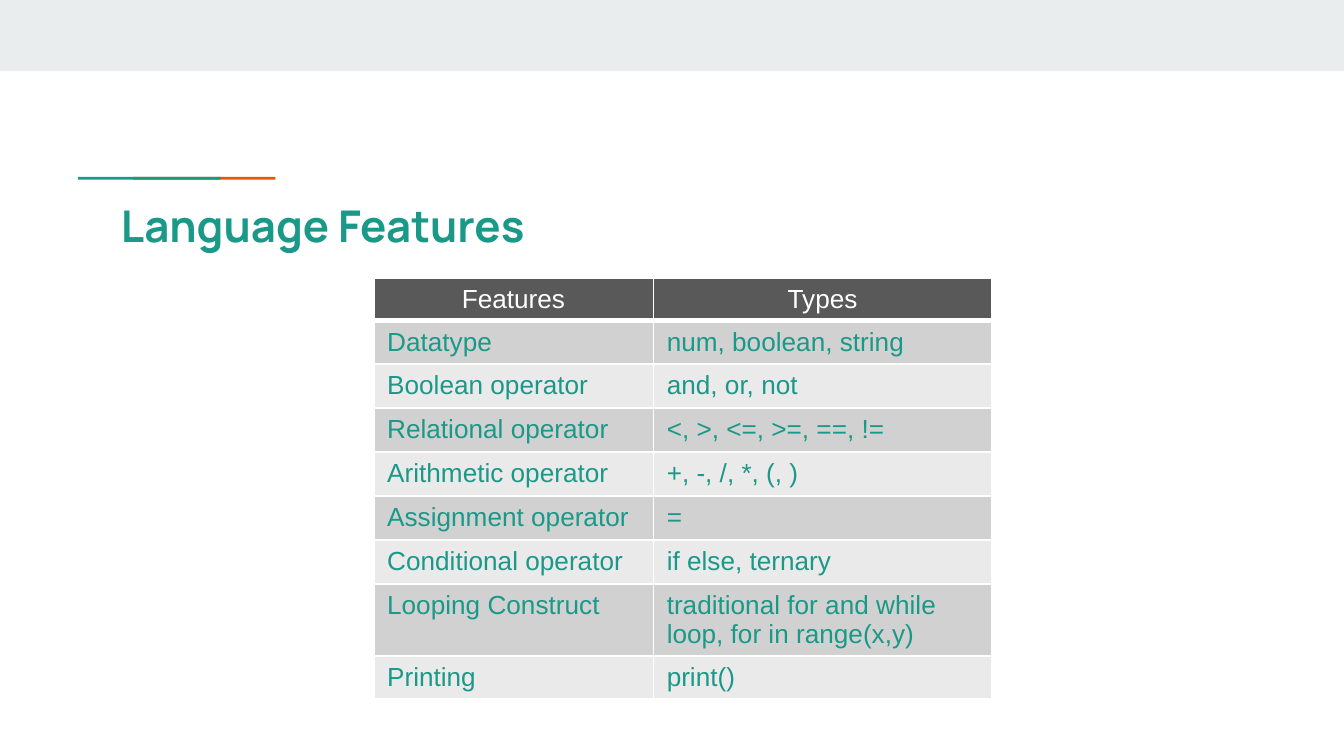
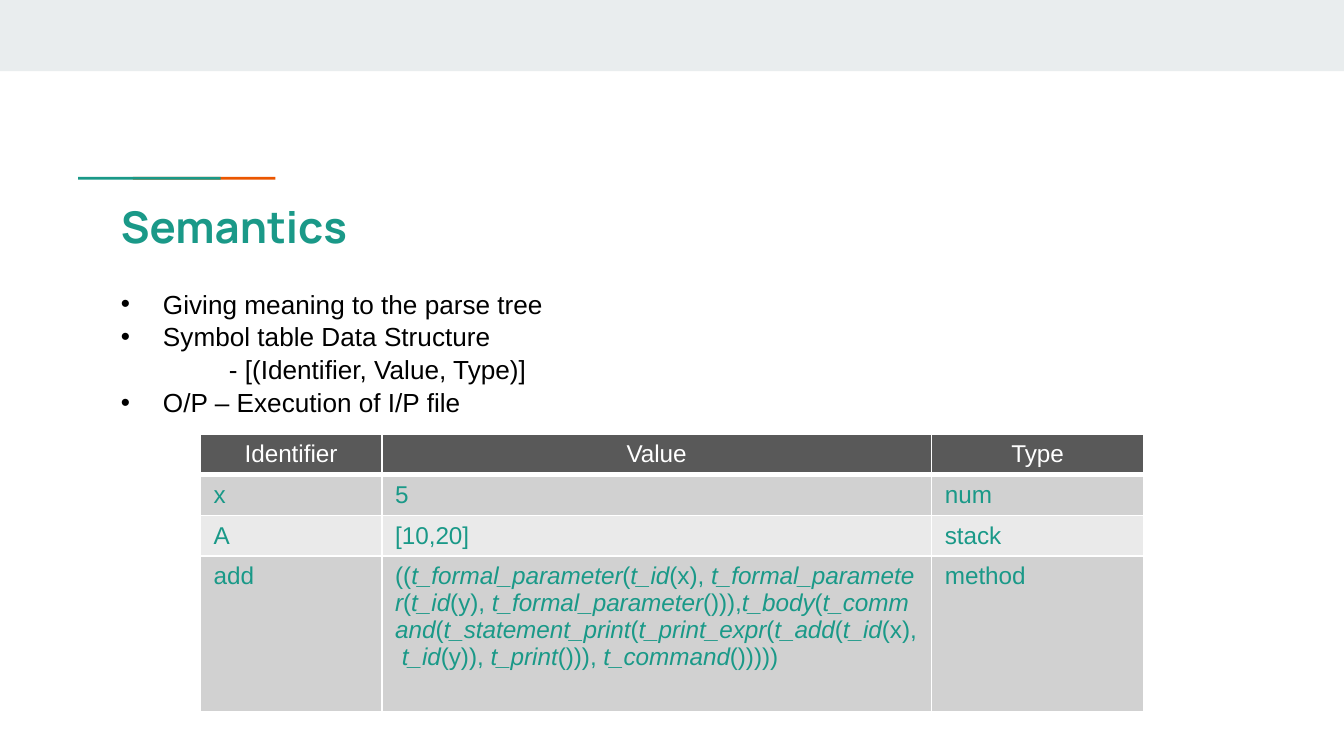
from dataclasses import dataclass

from lxml import etree
from pptx import Presentation
from pptx.dml.color import RGBColor
from pptx.enum.shapes import MSO_SHAPE
from pptx.enum.text import MSO_ANCHOR, MSO_AUTO_SIZE, PP_ALIGN
from pptx.oxml.ns import qn
from pptx.util import Pt

RECT = MSO_SHAPE.RECTANGLE
TOP, MIDDLE = MSO_ANCHOR.TOP, MSO_ANCHOR.MIDDLE
NO_AUTOFIT = MSO_AUTO_SIZE.NONE
LEFT, CENTER = PP_ALIGN.LEFT, PP_ALIGN.CENTER
TITLE_ONLY, TITLE_AND_BODY = 5, 1  # layout indexes
NBSP = chr(160)


@dataclass(frozen=True)
class Theme:
    teal: str = "1A9988"
    orange: str = "EB5600"
    band: str = "E9EDEE"
    white: str = "FFFFFF"
    black: str = "000000"
    header: str = "595959"
    rows: tuple = ("D1D1D1", "EAEAEA")
    title_font: str = "Manrope"
    text_font: str = "Arial"
    title_size: float = 23.4
    body_size: float = 14


THEME = Theme()

# Content; in table cells, | switches italics on and off
ADD_METHOD = (
    "((|t_formal_parameter|(|t_id|(x), |t_formal_parameter|(|t_id|(y), "
    "|t_formal_parameter|())),|t_body|(|t_command|(|t_statement_print|("
    "|t_print_expr|(|t_add|(|t_id|(x), |t_id|(y)), |t_print|())), "
    "|t_command|()))))"
).replace(" ", NBSP)

SLIDES = [
    {
        "title": "Language Features",
        "title_box": (57.6, 99.4, 302.4, 42.5),
        "table": {
            "at": (200.2, 149),
            "size": 14,
            "cols": [149.8, 181.4],
            "heights": [21.6] * 2 + [23.6] * 5 + [37.4, 21.6],
            "rows": [
                ("Features", "Types"),
                ("Datatype", "num, boolean, string"),
                ("Boolean operator", "and, or, not"),
                ("Relational operator", "<, >, <=, >=, ==, !="),
                ("Arithmetic operator", "+, -, /, *, (, )"),
                ("Assignment operator", "="),
                ("Conditional operator", "if else, ternary"),
                ("Looping Construct",
                 "traditional for and while loop, for in range(x,y)"),
                ("Printing", "print()"),
            ],
        },
    },
    {
        "title": "Semantics",
        "title_box": (57.6, 100.1, 605.5, 42.5),
        "body_box": (57.6, 149.8, 576.7, 74.9),
        "body": [  # (level, text)
            (0, "Giving meaning to the parse tree"),
            (0, "Symbol table Data Structure"),
            (1, "- [(Identifier, Value, Type)]"),
            (0, "O/P – Execution of I/P file"),
        ],
        "table": {
            "at": (107.3, 232.6),
            "size": 13,
            "cols": [97.2, 294.5, 113.8],
            "heights": [14.4] * 3 + [83.5],
            "rows": [
                ("Identifier", "Value", "Type"),
                ("x", "5", "num"),
                ("A", "[10,20]", "stack"),
                ("add", ADD_METHOD, "method"),
            ],
        },
    },
]

# Shared decoration: colour, left, top, width, height
DECOR = [
    (THEME.band, 0, 0, 720, 38.2),
    (THEME.orange, 71.2, 94.8, 76.4, 1.5),
    (THEME.teal, 41.8, 94.8, 76.4, 1.5),
]


def style_run(r, font, size, color, bold=False, italic=False):
    r.font.name, r.font.size = font, Pt(size)
    r.font.color.rgb = RGBColor.from_string(color)
    r.font.bold, r.font.italic = bold, italic


def place(sp, box):
    sp.left, sp.top, sp.width, sp.height = map(Pt, box)


def add_decor(slide):
    for color, *box in DECOR:
        sp = slide.shapes.add_shape(RECT, *map(Pt, box))
        sp.shadow.inherit = False
        sp.fill.solid()
        sp.fill.fore_color.rgb = RGBColor.from_string(color)
        sp.line.fill.background()


def set_title(slide, text, box):
    sp = slide.shapes.title
    place(sp, box)
    tf = sp.text_frame
    tf.text = text
    tf.word_wrap, tf.auto_size, tf.vertical_anchor = True, NO_AUTOFIT, MIDDLE
    tf.margin_left = tf.margin_right = tf.margin_top = tf.margin_bottom = Pt(7.2)
    p = tf.paragraphs[0]
    p.alignment = LEFT
    style_run(p.runs[0], THEME.title_font, THEME.title_size, THEME.teal, bold=True)


def set_bullet(p, level):
    pPr = p._p.get_or_add_pPr()
    margin, indent = [(22.5, -22.5), (57.8, 0)][level]
    pPr.set("marL", str(Pt(margin)))
    pPr.set("indent", str(Pt(indent)))
    if level:
        etree.SubElement(pPr, qn("a:buNone"))
        return
    color = etree.SubElement(pPr, qn("a:buClr"))
    etree.SubElement(color, qn("a:srgbClr"), val=THEME.black)
    etree.SubElement(pPr, qn("a:buFont"), typeface=THEME.text_font)
    etree.SubElement(pPr, qn("a:buChar"), char="•")


def set_body(slide, items, box):
    sp = slide.placeholders[1]
    place(sp, box)
    tf = sp.text_frame
    tf.text = "\n".join(text for _, text in items)
    tf.word_wrap, tf.auto_size, tf.vertical_anchor = True, NO_AUTOFIT, TOP
    for p, (level, _) in zip(tf.paragraphs, items):
        p.level, p.alignment = level, LEFT
        p.line_spacing, p.space_before, p.space_after = 1.05, Pt(0), Pt(0)
        set_bullet(p, level)
        style_run(p.runs[0], THEME.text_font, THEME.body_size, THEME.black)


def set_borders(cell, bottom):
    tcPr = cell._tc.get_or_add_tcPr()
    for side, width in (("L", 1), ("R", 1), ("T", 1), ("B", bottom)):
        ln = etree.SubElement(tcPr, qn(f"a:ln{side}"), w=str(Pt(width)))
        fill = etree.SubElement(ln, qn("a:solidFill"))
        etree.SubElement(fill, qn("a:srgbClr"), val=THEME.white)


def fill_cell(cell, text, size, row):
    is_header = row == 0
    set_borders(cell, 3 if is_header else 1)
    cell.fill.solid()
    color = THEME.header if is_header else THEME.rows[(row - 1) % 2]
    cell.fill.fore_color.rgb = RGBColor.from_string(color)
    p = cell.text_frame.paragraphs[0]
    p.alignment = CENTER if is_header else LEFT
    for i, part in enumerate(text.split("|")):
        r = p.add_run()
        r.text = part
        style_run(r, THEME.text_font, size,
                  THEME.white if is_header else THEME.teal, italic=i % 2 == 1)


def add_table(slide, spec_table):
    rows, cols = spec_table["rows"], spec_table["cols"]
    heights = spec_table["heights"]
    size = (sum(cols), sum(heights))
    table = slide.shapes.add_table(
        len(rows), len(cols), *map(Pt, spec_table["at"] + size)).table
    table.first_row = table.horz_banding = False
    for column, width in zip(table.columns, cols):
        column.width = Pt(width)
    for i, (row, height) in enumerate(zip(table.rows, heights)):
        row.height = Pt(height)
        for cell, text in zip(row.cells, rows[i]):
            fill_cell(cell, text, spec_table["size"], i)


def main():
    prs = Presentation()
    prs.slide_width, prs.slide_height = Pt(720), Pt(405)
    for content in SLIDES:
        layout = TITLE_AND_BODY if "body" in content else TITLE_ONLY
        slide = prs.slides.add_slide(prs.slide_layouts[layout])
        add_decor(slide)
        set_title(slide, content["title"], content["title_box"])
        if "body" in content:
            set_body(slide, content["body"], content["body_box"])
        add_table(slide, content["table"])
    prs.save("out.pptx")


if __name__ == "__main__":
    main()
